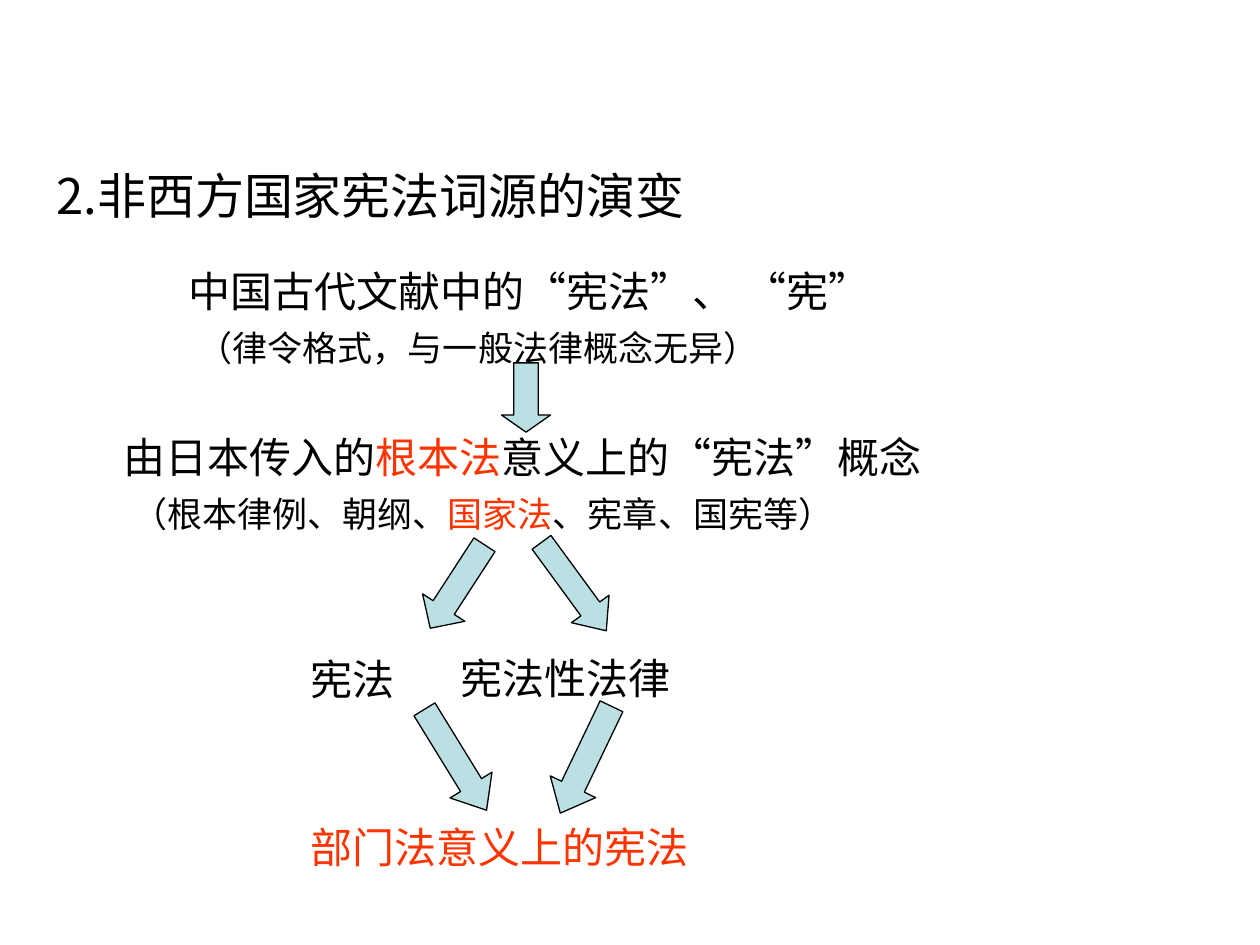
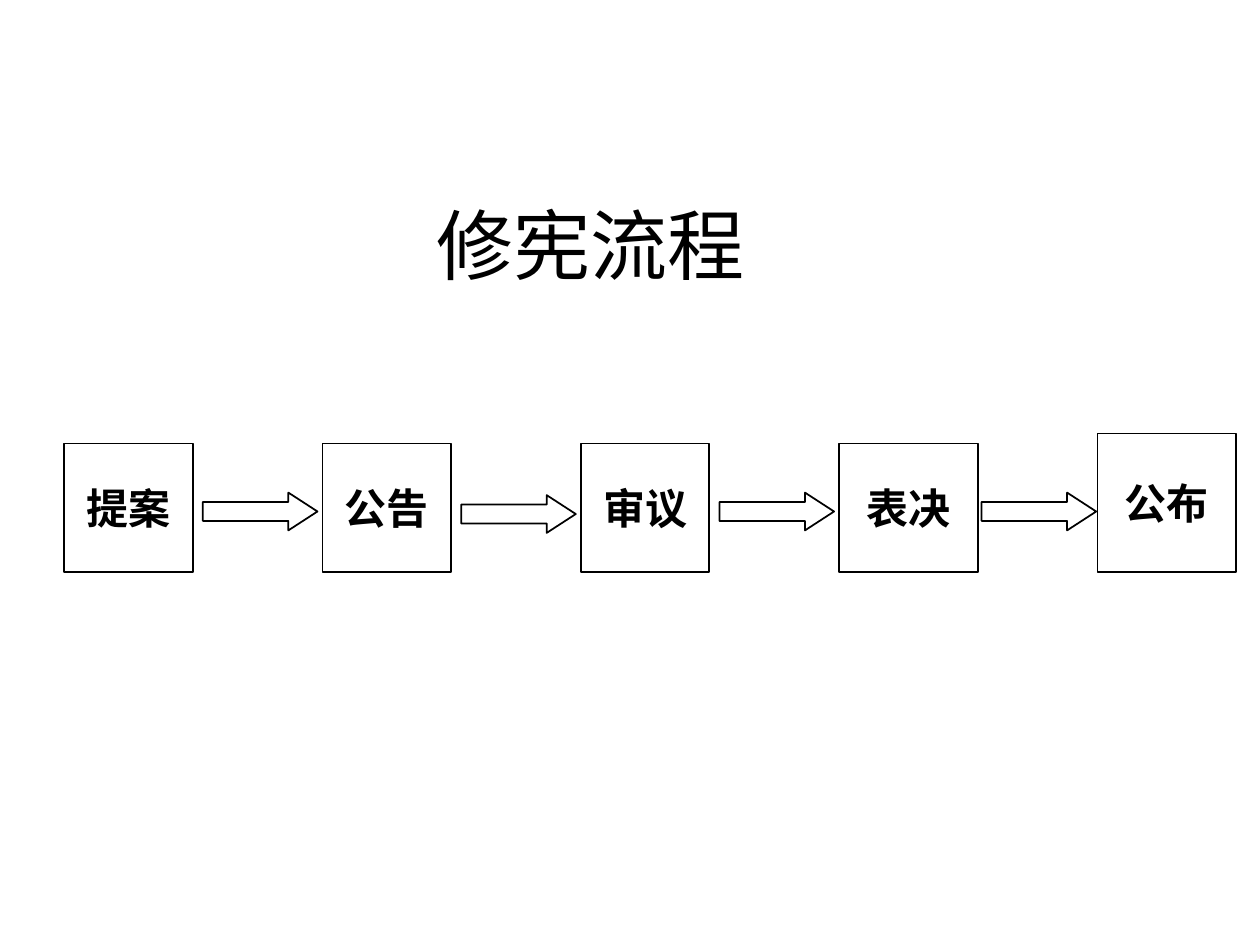
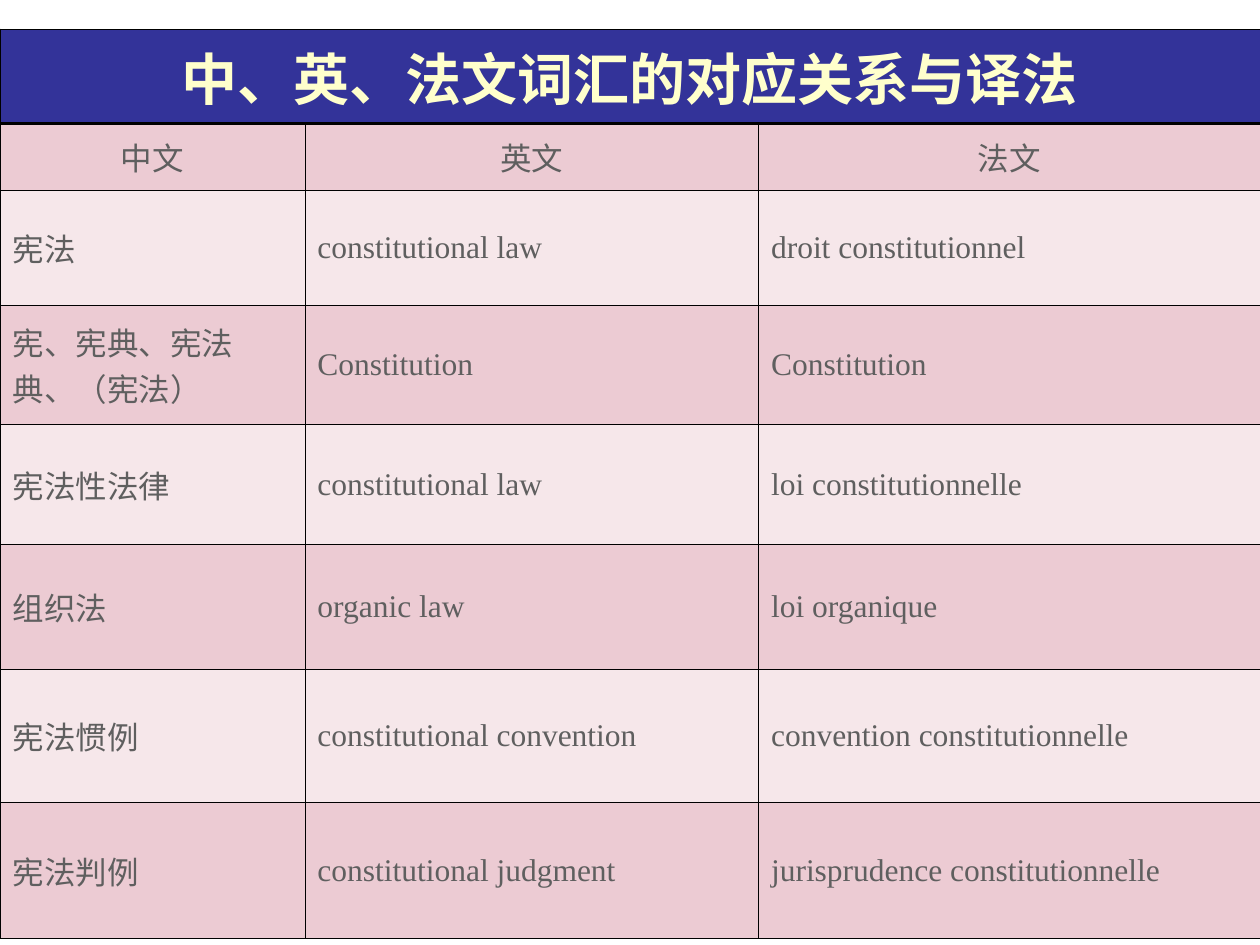
"""Build three slides on the word for constitution, its amendment and its translations."""
from dataclasses import dataclass

import lxml.etree
import pptx
import pptx.dml.color
import pptx.enum.shapes
import pptx.enum.text
import pptx.oxml.ns
import pptx.util

Inches = pptx.util.Inches
Pt = pptx.util.Pt
qn = pptx.oxml.ns.qn
ALIGN = pptx.enum.text.PP_ALIGN
MIDDLE = pptx.enum.text.MSO_ANCHOR.MIDDLE
SHAPE = pptx.enum.shapes.MSO_SHAPE

COLORS = {
    "ink": "000000",
    "paper": "FFFFFF",
    "accent": "FF3300",
    "arrow": "BBE0E3",
    "header": "333399",
    "header_text": "FFFFCC",
    "row_dark": "ECCBD3",
    "row_light": "F6E7EA",
    "cell_text": "5F5F5F",
}
HAN_FONT = "Noto Sans CJK SC"
SANS = "Arial"
SERIF = "Times New Roman"


@dataclass
class Style:
    size: float
    font: str
    color: str = "ink"
    bold: bool = False
    align: ALIGN = ALIGN.LEFT


@dataclass
class Line:
    spans: list[tuple[str, str]]
    size: float
    indent: float
    before: float


@dataclass
class Arrow:
    left: float
    top: float
    width: float
    height: float
    head: float
    rotation: float = 0


@dataclass
class Step:
    label: str
    width: float = 1.02
    height: float = 1.02
    filled: bool = True


ORIGIN_LINES = [
    Line([("中国古代文献中的“宪法”、 “宪”", "ink")], 24, 0.9, 0),
    Line([("（律令格式，与一般法律概念无异）", "ink")], 20, 0.97, 4),
    Line([("由日本传入的", "ink"), ("根本法", "accent"),
          ("意义上的“宪法”概念", "ink")], 24, 0.38, 38.5),
    Line([("（根本律例、朝纲、", "ink"), ("国家法", "accent"),
          ("、宪章、国宪等）", "ink")], 20, 0.45, 4),
    Line([("宪法", "ink")], 24, 1.87, 71),
    Line([("部门法意义上的宪法", "accent")], 24, 1.87, 70),
]
ORIGIN_ARROWS = [
    Arrow(3.98, 2.88, 0.39, 0.55, 0.35),
    Arrow(3.43, 4.26, 0.4, 0.79, 0.49, 33),
    Arrow(4.37, 4.22, 0.37, 0.87, 0.58, 323.8),
    Arrow(3.42, 5.56, 0.39, 0.94, 0.6, 328.4),
    Arrow(4.45, 5.56, 0.4, 0.94, 0.58, 25.6),
]
STEPS = [
    Step("提案", filled=False),
    Step("公告"),
    Step("审议"),
    Step("表决", width=1.1),
    Step("公布", width=1.1, height=1.1),
]
STEP_LEFT, STEP_PITCH, STEP_BOTTOM = 0.51, 2.05, 4.54
STEP_ARROWS = [
    Arrow(left, top, 0.91, 0.3, 0.77)
    for left, top in ((1.61, 3.91), (3.66, 3.93), (5.71, 3.91), (7.79, 3.91))
]
TABLE_TITLE = "中、英、法文词汇的对应关系与译法"
TERMS = [
    ("中文", "英文", "法文"),
    ("宪法", "constitutional law", "droit constitutionnel"),
    ("宪、宪典、宪法典、（宪法）", "Constitution", "Constitution"),
    ("宪法性法律", "constitutional law", "loi constitutionnelle"),
    ("组织法", "organic law", "loi organique"),
    ("宪法惯例", "constitutional convention", "convention constitutionnelle"),
    ("宪法判例", "constitutional judgment", "jurisprudence constitutionnelle"),
]
COLUMN_WIDTHS = (2.42, 3.6, 3.98)
ROW_HEIGHTS = (0.75, 0.53, 0.91, 0.95, 0.95, 0.99, 1.06, 1.08)


def rgb(name: str) -> pptx.dml.color.RGBColor:
    """Look up a named colour."""
    return pptx.dml.color.RGBColor.from_string(COLORS[name])


def style_paragraph(para, style: Style) -> None:
    """Set alignment and fonts of a paragraph."""
    para.alignment = style.align
    para.font.size = Pt(style.size)
    para.font.bold = style.bold
    para.font.color.rgb = rgb(style.color)
    para.font.name = style.font
    properties = para._p.pPr
    properties.set("hangingPunct", "0")
    defaults = properties.find(qn("a:defRPr"))
    lxml.etree.SubElement(defaults, qn("a:ea"), typeface=HAN_FONT)


def write(frame, text: str, style: Style) -> None:
    """Put one styled paragraph into a text frame."""
    para = frame.paragraphs[0]
    para.text = text
    style_paragraph(para, style)


def add_box(page, left: float, top: float, width: float, height: float):
    """Add a wrapping text box and return its frame."""
    box = page.shapes.add_textbox(Inches(left), Inches(top), Inches(width), Inches(height))
    box.text_frame.word_wrap = True
    return box.text_frame


def add_label(page, left: float, top: float, width: float, height: float,
              text: str, style: Style) -> None:
    """Add one vertically centred paragraph in a box."""
    frame = add_box(page, left, top, width, height)
    frame.vertical_anchor = MIDDLE
    write(frame, text, style)


def add_outlined(page, kind: SHAPE, left: float, top: float, width: float,
                 height: float, fill: str | None, line_width: float):
    """Add a preset shape with a black outline."""
    shape = page.shapes.add_shape(
        kind, Inches(left), Inches(top), Inches(width), Inches(height))
    shape.shadow.inherit = False
    if fill:
        shape.fill.solid()
        shape.fill.fore_color.rgb = rgb(fill)
    else:
        shape.fill.background()
    shape.line.color.rgb = rgb("ink")
    shape.line.width = Pt(line_width)
    return shape


def add_arrow(page, kind: SHAPE, arrow: Arrow, fill: str, line_width: float) -> None:
    """Add a block arrow."""
    shape = add_outlined(page, kind, arrow.left, arrow.top, arrow.width,
                         arrow.height, fill, line_width)
    shape.adjustments[0] = 0.5
    shape.adjustments[1] = arrow.head
    shape.rotation = arrow.rotation


def add_line(para, line: Line) -> None:
    """Fill a paragraph with the coloured spans of a line."""
    properties = para._p.get_or_add_pPr()
    properties.set("marL", str(Inches(line.indent)))
    properties.set("indent", "0")
    para.line_spacing = Pt(26)
    para.space_before = Pt(line.before)
    style_paragraph(para, Style(line.size, SANS))
    for text, color in line.spans:
        span = para.add_run()
        span.text = text
        span.font.color.rgb = rgb(color)


def build_origin(page) -> None:
    """Draw the evolution of the word."""
    add_label(page, 0.35, 1.15, 9, 0.79, "2.非西方国家宪法词源的演变", Style(28, HAN_FONT))
    frame = add_box(page, 0.5, 2.1, 9, 4.96)
    for number, line in enumerate(ORIGIN_LINES):
        add_line(frame.add_paragraph() if number else frame.paragraphs[0], line)
    add_label(page, 3.56, 5.13, 2, 0.5, "宪法性法律", Style(24, SANS))
    for arrow in ORIGIN_ARROWS:
        add_arrow(page, SHAPE.DOWN_ARROW, arrow, "arrow", 0.75)


def build_process(page) -> None:
    """Draw the amendment process."""
    add_label(page, 0.19, 1.31, 9, 1.25, "修宪流程", Style(44, SANS, align=ALIGN.CENTER))
    label_style = Style(24, SERIF, bold=True, align=ALIGN.CENTER)
    for number, step in enumerate(STEPS):
        shape = add_outlined(
            page, SHAPE.RECTANGLE, STEP_LEFT + number * STEP_PITCH,
            STEP_BOTTOM - step.height, step.width, step.height,
            "paper" if step.filled else None, 1)
        shape.text_frame.word_wrap = False
        shape.text_frame.vertical_anchor = MIDDLE
        write(shape.text_frame, step.label, label_style)
    for arrow in STEP_ARROWS:
        add_arrow(page, SHAPE.RIGHT_ARROW, arrow, "paper", 1)


def format_cell(cell, fill: str, top: float, bottom: float) -> None:
    """Set the borders, fill and anchor of a table cell."""
    properties = cell._tc.get_or_add_tcPr()
    for side, width in (("L", 0.45), ("R", 0.45), ("T", top), ("B", bottom)):
        border = lxml.etree.SubElement(properties, qn(f"a:ln{side}"), w=str(Pt(width)))
        paint = lxml.etree.SubElement(border, qn("a:solidFill"))
        lxml.etree.SubElement(paint, qn("a:srgbClr"), val=COLORS["ink"])
    cell.fill.solid()
    cell.fill.fore_color.rgb = rgb(fill)
    cell.vertical_anchor = MIDDLE


def build_terms(page) -> None:
    """Draw the table of terms in three languages."""
    table = page.shapes.add_table(
        len(ROW_HEIGHTS), len(COLUMN_WIDTHS), Inches(0), Inches(0.23),
        Inches(sum(COLUMN_WIDTHS)), Inches(sum(ROW_HEIGHTS))).table
    table.first_row = table.horz_banding = False
    for column, width in zip(table.columns, COLUMN_WIDTHS):
        column.width = Inches(width)
    for row, height in zip(table.rows, ROW_HEIGHTS):
        row.height = Inches(height)
    for cell in table.rows[0].cells:
        format_cell(cell, "header", 0.45, 1.47)
    table.cell(0, 0).merge(table.cell(0, len(COLUMN_WIDTHS) - 1))
    write(table.cell(0, 0).text_frame, TABLE_TITLE,
          Style(32, SERIF, "header_text", True, ALIGN.CENTER))
    for number, terms in enumerate(TERMS, start=1):
        heading = number == 1
        align = ALIGN.CENTER if heading else ALIGN.LEFT
        for cell, term in zip(table.rows[number].cells, terms):
            format_cell(cell, "row_dark" if number % 2 else "row_light",
                        1.47 if heading else 0.45, 0.45)
            write(cell.text_frame, term, Style(18, SERIF, "cell_text", align=align))


def main() -> None:
    """Build and save the deck."""
    deck = pptx.Presentation()
    deck.slide_width, deck.slide_height = Inches(10), Inches(7.5)
    for build in (build_origin, build_process, build_terms):
        build(deck.slides.add_slide(deck.slide_layouts[6]))
    deck.save("out.pptx")


if __name__ == "__main__":
    main()
